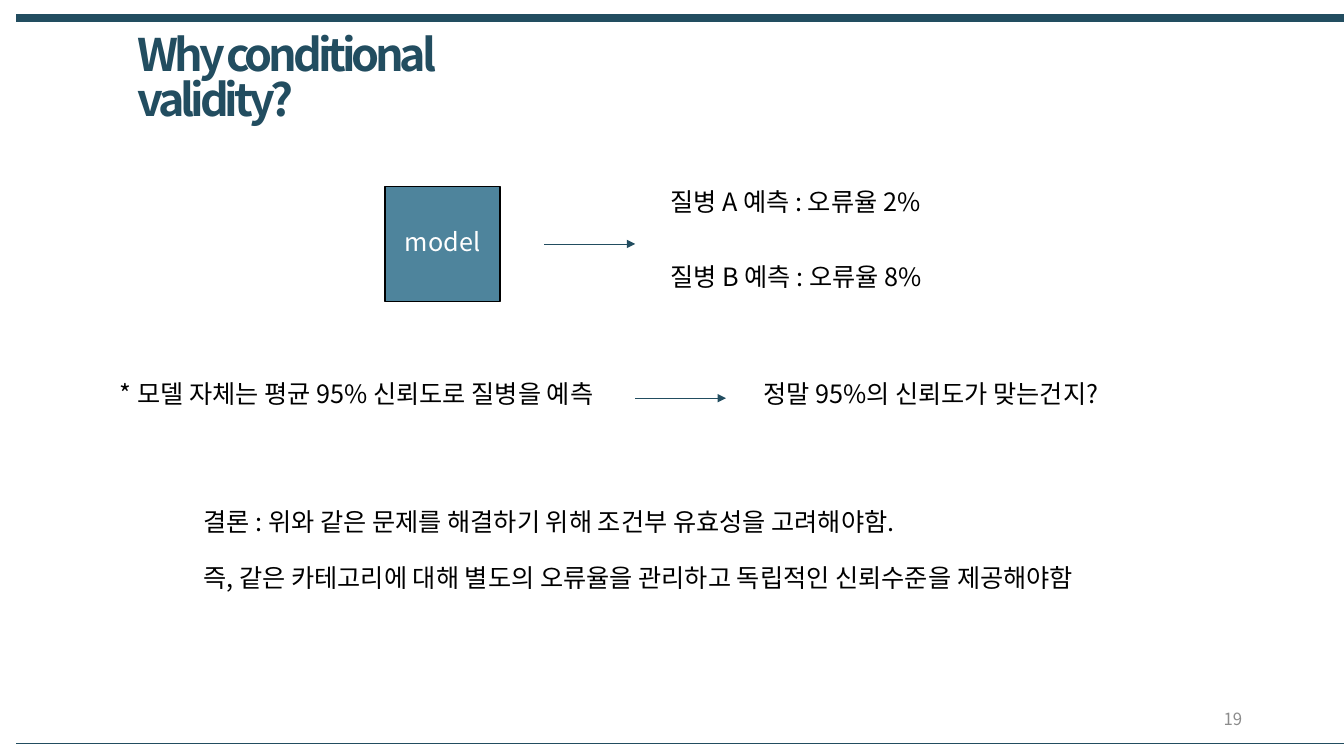
from lxml import etree
from pptx import Presentation
from pptx.dml.color import RGBColor
from pptx.enum.shapes import MSO_CONNECTOR, MSO_SHAPE
from pptx.enum.text import MSO_ANCHOR, PP_ALIGN
from pptx.oxml.ns import qn
from pptx.util import Inches, Pt

NAVY = RGBColor(0x22, 0x4D, 0x60)
TEAL = RGBColor(0x4E, 0x84, 0x9C)
GREY = RGBColor(0x8C, 0x8C, 0x8C)
BLACK = RGBColor(0, 0, 0)
WHITE = RGBColor(0xFF, 0xFF, 0xFF)
FONT = "Noto Sans CJK KR"
STRAIGHT = MSO_CONNECTOR.STRAIGHT
RECTANGLE = MSO_SHAPE.RECTANGLE
MIDDLE, TOP = MSO_ANCHOR.MIDDLE, MSO_ANCHOR.TOP
LEFT, CENTER, RIGHT = PP_ALIGN.LEFT, PP_ALIGN.CENTER, PP_ALIGN.RIGHT

WIDTH, HEIGHT = 13.33, 7.5
BODY_SIZE = 18
LINE_SHARE = 0.84
ARROW_LENGTH = 0.9
LABEL_HEIGHT = 0.4


def write(frame, lines, size=BODY_SIZE, color=BLACK, align=LEFT, anchor=TOP,
          bold=False, tracking=0, gap=0):
    frame.word_wrap = True
    frame.vertical_anchor = anchor
    for index, line in enumerate(lines):
        paragraph = frame.paragraphs[0] if index == 0 else frame.add_paragraph()
        paragraph.text = line
        paragraph.alignment = align
        paragraph.line_spacing = LINE_SHARE
        if index:
            paragraph.space_before = Pt(gap)
        run = paragraph.runs[0]
        run.font.name = FONT
        run.font.size = Pt(size)
        run.font.bold = bold
        run.font.color.rgb = color
        properties = run.font._element
        if tracking:
            properties.set("spc", str(tracking * 100))
        etree.SubElement(properties, qn("a:ea")).set("typeface", FONT)


def add_label(slide, box, lines, **style):
    label = slide.shapes.add_textbox(*map(Inches, box))
    write(label.text_frame, lines, **style)


def add_rule(slide, left, y, length, weight, arrow=False):
    rule = slide.shapes.add_connector(
        STRAIGHT, Inches(left), Inches(y), Inches(left + length), Inches(y))
    rule.line.color.rgb = NAVY
    rule.line.width = Pt(weight)
    if arrow:
        etree.SubElement(rule.line._get_or_add_ln(), qn("a:tailEnd")).set("type", "triangle")
    etree.SubElement(rule._element.spPr, qn("a:effectLst"))


def add_frame(slide, box, page):
    left, top, width, height = box
    add_rule(slide, left, top, width, 6)
    add_rule(slide, left, top + height, width, 0.25)
    add_label(slide, (left + width - 3.93, top + height - 0.42, 3, LABEL_HEIGHT),
              [page], size=12, color=GREY, align=RIGHT, anchor=MIDDLE)


def add_title(slide, box, title):
    add_label(slide, box, [title], size=32, color=NAVY, bold=True, tracking=-3)


def add_model_flow(slide, box, model_name, predictions):
    left, top, width, side = box
    model = slide.shapes.add_shape(
        RECTANGLE, Inches(left), Inches(top), Inches(side), Inches(side))
    model.shadow.inherit = False
    model.fill.solid()
    model.fill.fore_color.rgb = TEAL
    model.line.color.rgb = BLACK
    model.line.width = Pt(1)
    write(model.text_frame, [model_name], color=WHITE, align=CENTER, anchor=MIDDLE)
    add_rule(slide, left + 1.58, top + side / 2, ARROW_LENGTH, 0.5, arrow=True)
    label_left = left + 2.73
    row_pitch = side - LABEL_HEIGHT
    for row, prediction in enumerate(predictions):
        add_label(slide, (label_left, top + row * row_pitch,
                          left + width - label_left, LABEL_HEIGHT), [prediction])


def add_question(slide, box, claim, question):
    left, top, width, height = box
    claim_width = 5.21
    arrow_left = left + claim_width
    question_left = arrow_left + 1.17
    add_label(slide, (left, top, claim_width, height), [claim])
    add_rule(slide, arrow_left, top + height / 2, ARROW_LENGTH, 0.5, arrow=True)
    add_label(slide, (question_left, top, left + width - question_left, height), [question])


def add_conclusion(slide, box, lines):
    add_label(slide, box, lines, gap=22)


def main():
    presentation = Presentation()
    presentation.slide_width = Inches(WIDTH)
    presentation.slide_height = Inches(HEIGHT)
    slide = presentation.slides.add_slide(presentation.slide_layouts[6])
    add_frame(slide, (0.16, 0.18, 13.19, 7.19), "19")
    add_title(slide, (1.27, 0.3, 4.33, 0.64), "Why conditional validity?")
    add_model_flow(slide, (3.82, 1.85, 5.63, 1.14), "model",
                   ["질병 A 예측 : 오류율 2%", "질병 B 예측 : 오류율 8%"])
    add_question(slide, (1.09, 3.75, 10.11, LABEL_HEIGHT),
                 "* 모델 자체는 평균 95% 신뢰도로 질병을 예측",
                 "정말 95%의 신뢰도가 맞는건지?")
    add_conclusion(slide, (1.92, 5.02, 9.26, 1.01), [
        "결론 : 위와 같은 문제를 해결하기 위해 조건부 유효성을 고려해야함.",
        "즉, 같은 카테고리에 대해 별도의 오류율을 관리하고 독립적인 신뢰수준을 제공해야함"])
    presentation.save("out.pptx")


if __name__ == "__main__":
    main()
